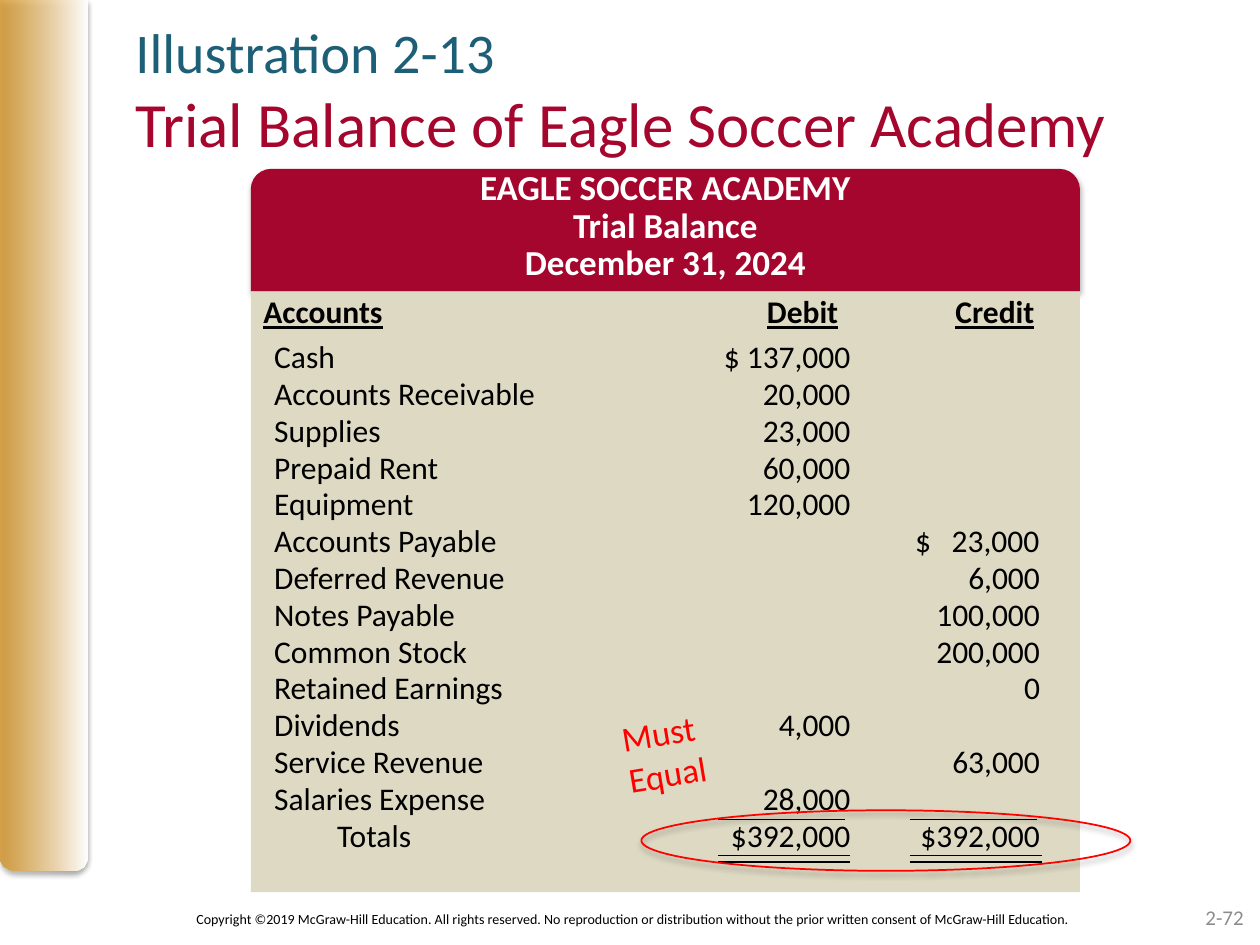
from lxml import etree
from pptx import Presentation
from pptx.dml.color import RGBColor
from pptx.enum import shapes, text
from pptx.oxml import ns
from pptx.util import Pt

GOLD = RGBColor(0xD4, 0x93, 0x23)
WHITE = RGBColor(0xFF, 0xFF, 0xFF)
BLACK = RGBColor(0, 0, 0)
GRAY = RGBColor(0x8C, 0x8C, 0x8C)
TEAL = RGBColor(0x1D, 0x5F, 0x76)
CRIMSON = RGBColor(0xA5, 0x06, 0x2D)
SAND = RGBColor(0xDD, 0xD9, 0xC3)
RED = RGBColor(0xFF, 0, 0)

FONT = "Calibri"
PLAIN_TABLE = "{2D5ABB26-0587-4C30-8999-92F81FD0307C}"
ROW_HEIGHT = 21
HEADING_HEIGHT = 26.6
INDENT = 36
ACCOUNTS = [  # name, debit, credit
    ("Cash", "$ 137,000", ""),
    ("Accounts Receivable", "20,000", ""),
    ("Supplies", "23,000", ""),
    ("Prepaid Rent", "60,000", ""),
    ("Equipment", "120,000", ""),
    ("Accounts Payable", "", "$\t23,000"),
    ("Deferred Revenue", "", "6,000"),
    ("Notes Payable", "", "100,000"),
    ("Common Stock", "", "200,000"),
    ("Retained Earnings", "", "0"),
    ("Dividends", "4,000", ""),
    ("Service Revenue", "", "63,000"),
    ("Salaries Expense", "28,000", ""),
    ("Totals", "$392,000", "$392,000"),
]


def points(*lengths):
    return [Pt(length) for length in lengths]


def add_xml(parent, tag, **attributes):
    return etree.SubElement(parent, ns.qn(tag), attributes)


def format_font(font, size, color, **formats):
    font.color.rgb = color
    values = {"name": FONT, "size": Pt(size), **formats}
    for name, value in values.items():
        setattr(font, name, value)


def add_shadow(shape):
    effects = add_xml(shape._element.spPr, "a:effectLst")
    shadow = add_xml(effects, "a:outerShdw", blurRad=str(Pt(3.1)), dist=str(Pt(1.8)),
                     dir="5400000", rotWithShape="0")
    color = add_xml(shadow, "a:srgbClr", val="000000")
    add_xml(color, "a:alpha", val="35000")


def add_block(slide, kind, box, fill=None):
    shape = slide.shapes.add_shape(kind, *points(*box))
    shape.line.fill.background()
    if fill is None:
        shape.fill.background()
    else:
        shape.fill.solid()
        shape.fill.fore_color.rgb = fill
    return shape


def write_lines(frame, lines, size, color, align, spacing=1.0, **formats):
    for index, line in enumerate(lines):
        paragraph = frame.paragraphs[0] if index == 0 else frame.add_paragraph()
        paragraph.text = line
        paragraph.alignment = align
        paragraph.line_spacing = spacing
        format_font(paragraph.font, size, color, **formats)


def add_label(slide, box, lines, size, color, align=text.PP_ALIGN.LEFT, wrap=True, **formats):
    label = slide.shapes.add_textbox(*points(*box))
    label.text_frame.word_wrap = wrap
    write_lines(label.text_frame, lines, size, color, align, **formats)
    return label


def add_rule(slide, left, right, y):
    rule = slide.shapes.add_connector(shapes.MSO_CONNECTOR.STRAIGHT, *points(left, y, right, y))
    rule.line.color.rgb = BLACK
    rule.line.width = Pt(0.75)
    add_xml(rule._element.spPr, "a:effectLst")


def add_side_bar(slide, box):
    bar = add_block(slide, shapes.MSO_SHAPE.ROUND_2_SAME_RECTANGLE, box)
    bar.adjustments[0], bar.adjustments[1] = 0, 0.17  # round the lower corners
    bar.fill.gradient()
    bar.fill.gradient_angle = 0
    for stop, color, position in zip(bar.fill.gradient_stops, (GOLD, WHITE), (0, 1)):
        stop.color.rgb = color
        stop.position = position
    for color in bar._element.spPr.iter(ns.qn("a:srgbClr")):
        if color.get("val") == str(GOLD):
            add_xml(color, "a:alpha", val="80000")
    add_shadow(bar)


def add_title(slide, box):
    title = slide.shapes.title
    title.left, title.top, title.width, title.height = points(*box)
    frame = title.text_frame
    frame.auto_size = text.MSO_AUTO_SIZE.NONE
    frame.vertical_anchor = text.MSO_ANCHOR.MIDDLE
    paragraph = frame.paragraphs[0]
    paragraph.alignment = text.PP_ALIGN.LEFT
    number = paragraph.add_run()
    number.text = "Illustration 2-13"
    format_font(number.font, 32, TEAL)
    paragraph.add_line_break()
    name = paragraph.add_run()
    name.text = "Trial Balance of Eagle Soccer Academy"
    format_font(name.font, 36, CRIMSON)


def add_statement(slide, box):
    left, top, width, height = box
    banner_height = 70

    # Banner and panel
    banner = add_block(slide, shapes.MSO_SHAPE.ROUND_2_SAME_RECTANGLE,
                       (left, top, width, banner_height), CRIMSON)
    add_shadow(banner)
    panel = add_block(slide, shapes.MSO_SHAPE.RECTANGLE,
                      (left, top + banner_height, width, height - banner_height), SAND)
    panel.shadow.inherit = False
    add_label(slide, (left, top - 2.9, width, 73.4),
              ["EAGLE SOCCER ACADEMY", "Trial Balance", "December 31, 2024"],
              20, WHITE, text.PP_ALIGN.CENTER, spacing=0.9, bold=True)

    table_top = top + banner_height + 1.4
    add_accounts(slide, left, table_top)

    # Single rule above the totals, double rule below
    totals_bottom = table_top + HEADING_HEIGHT + len(ACCOUNTS) * ROW_HEIGHT
    for rule_left in (left + 267, left + 376.6):
        add_rule(slide, rule_left, rule_left + 72.7, totals_bottom - 20.4)
        for offset in (0.5, 4.1):
            add_rule(slide, rule_left, rule_left + 75.4, totals_bottom + offset)


def add_accounts(slide, left, top):
    widths = (256.7, 123, 94.1)
    rows = [("Accounts", "Debit", "Credit"), *ACCOUNTS]
    height = HEADING_HEIGHT + len(ACCOUNTS) * ROW_HEIGHT
    table = slide.shapes.add_table(len(rows), len(widths),
                                   *points(left, top, sum(widths), height)).table
    table.first_row = table.horz_banding = False
    table._tbl.tblPr.find(ns.qn("a:tableStyleId")).text = PLAIN_TABLE
    for column, width in zip(table.columns, widths):
        column.width = Pt(width)
    for index, values in enumerate(rows):
        heading = index == 0
        table.rows[index].height = Pt(HEADING_HEIGHT if heading else ROW_HEIGHT)
        name_inset = 7.2 if heading else 13.4
        if values[0] == "Totals":
            name_inset += INDENT
        right_insets = (0, 44, 26) if heading else (0, 37, 22.8)
        for column, value in enumerate(values):
            cell = table.cell(index, column)
            cell.fill.background()
            margins = {"left": 0 if column else name_inset, "top": 0,
                       "right": right_insets[column], "bottom": 0}
            for side, margin in margins.items():
                setattr(cell, f"margin_{side}", Pt(margin))
            paragraph = cell.text_frame.paragraphs[0]
            if not value:  # small type keeps an empty cell from stretching its row
                add_xml(paragraph._p, "a:endParaRPr", sz="800")
                continue
            align = text.PP_ALIGN.RIGHT if column else text.PP_ALIGN.LEFT
            if "\t" in value:  # dollar sign at the left, amount at the right
                align = text.PP_ALIGN.LEFT
                tabs = add_xml(paragraph._p.get_or_add_pPr(), "a:tabLst")
                add_xml(tabs, "a:tab", pos=str(Pt(71)), algn="r")
            spacing = 1.0 if heading else Pt(ROW_HEIGHT)
            write_lines(cell.text_frame, [value], 18, BLACK, align, spacing,
                        bold=heading, underline=heading)


def add_callout(slide, ring_box, note_box):
    ring = add_block(slide, shapes.MSO_SHAPE.OVAL, ring_box)
    ring.line.color.rgb = RED
    ring.line.width = Pt(1)
    add_shadow(ring)
    note = add_label(slide, note_box, ["Must", "Equal"], 20, RED, wrap=False)
    note.rotation = 350.4


def add_footer(slide, copyright_box, number_box):
    add_label(slide, copyright_box,
              ["Copyright ©2019 McGraw-Hill Education. All rights reserved. "
               "No reproduction or distribution without the prior written consent "
               "of McGraw-Hill Education."], 8, BLACK)
    number = add_label(slide, number_box, ["2-72"], 12, GRAY, text.PP_ALIGN.RIGHT)
    number.text_frame.vertical_anchor = text.MSO_ANCHOR.MIDDLE


def main():
    presentation = Presentation()
    presentation.slide_width, presentation.slide_height = points(720, 540)
    slide = presentation.slides.add_slide(presentation.slide_layouts[5])
    add_side_bar(slide, (0, 0, 50, 497.5))
    add_title(slide, (70.2, 20.2, 648, 61.2))
    add_statement(slide, (143.3, 96.5, 473.8, 413.3))
    add_callout(slide, (366.5, 463, 279.4, 34.6), (350, 402.5, 59.8, 55.4))
    add_footer(slide, (105.1, 517, 549.4, 17.3), (550, 509.8, 167.8, 28.8))
    presentation.save("out.pptx")


if __name__ == "__main__":
    main()
